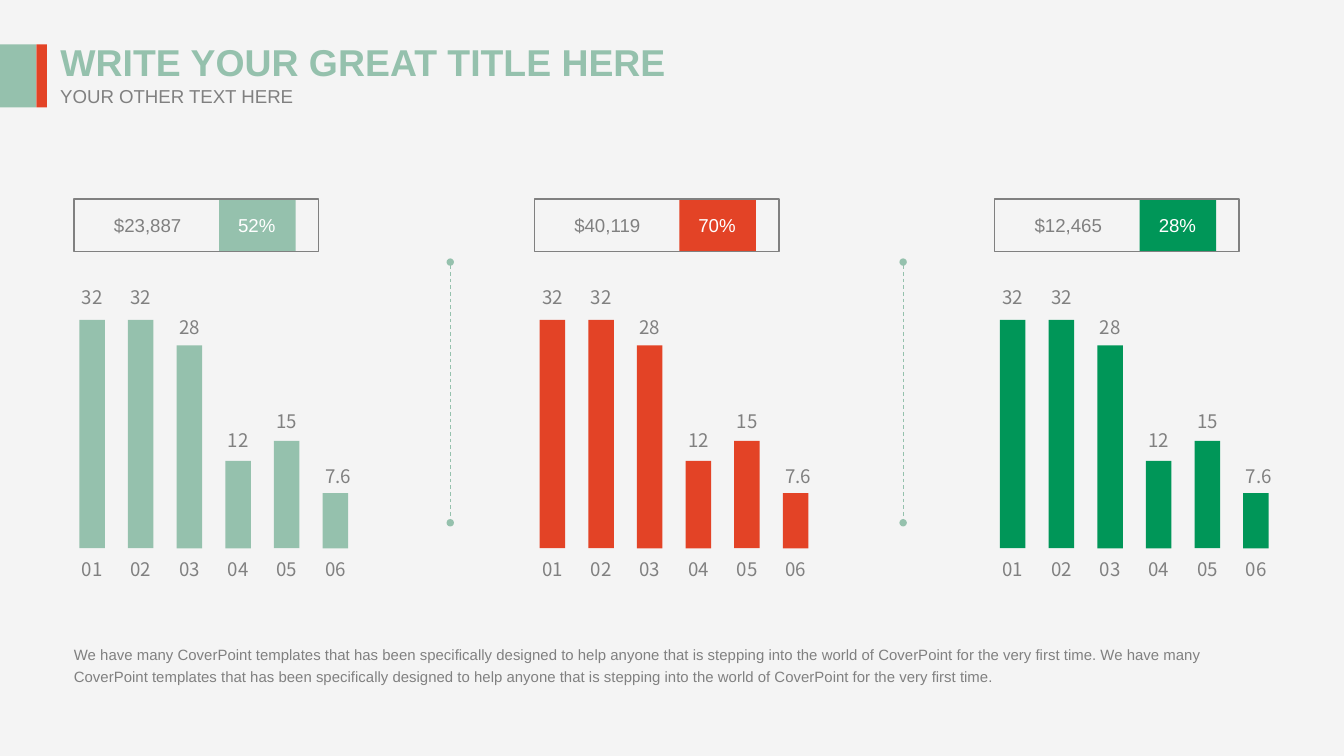
import pptx
import pptx.util
import pptx.dml.color
import pptx.enum.dml
import pptx.enum.shapes
import pptx.enum.text
import pptx.oxml.ns
from lxml import etree

Inches = pptx.util.Inches
Pt = pptx.util.Pt
ALIGN = pptx.enum.text.PP_ALIGN

COLORS = {
    "background": "F4F4F4",
    "mint": "95C1AD",
    "red": "E34326",
    "green": "009658",
    "gray": "808080",
    "white": "FFFFFF",
}
TITLE = "WRITE YOUR GREAT TITLE HERE"
SUBTITLE = "YOUR OTHER TEXT HERE"
SENTENCE = (
    "We have many CoverPoint templates that has been specifically designed to help "
    "anyone that is stepping into the world of CoverPoint for the very first time."
)
FOOTNOTE = f"{SENTENCE} {SENTENCE}"
PANELS = [
    ("$23,887", "52%", "mint"),
    ("$40,119", "70%", "red"),
    ("$12,465", "28%", "green"),
]
BARS = [
    ("01", "32", 1.7, 2.13),
    ("02", "32", 1.7, 2.13),
    ("03", "28", 1.51, 2.35),
    ("04", "12", 0.65, 3.19),
    ("05", "15", 0.8, 3.05),
    ("06", "7.6", 0.41, 3.46),
]
ACCENTS = [(0.27, 0.08, "red"), (0, 0.27, "mint")]
DIVIDERS = [3.35, 6.72]
BODY_FONT = "Arial"
BAR_FONT = "Noto Sans CJK SC"
PANEL_LEFT = 0.55
PANEL_STEP = (7.4 - PANEL_LEFT) / (len(PANELS) - 1)
BASELINE = 4.08
BAR_STEP = 1.81 / (len(BARS) - 1)
BAR_WIDTH = 0.19
BOX_TOP = 1.48
BOX_HEIGHT = 0.39


def rgb(name):
    """Return the named colour."""
    return pptx.dml.color.RGBColor.from_string(COLORS[name])


def add_rect(s, x, y, w, h, fill=None, line=None):
    """Add a rectangle with an optional fill and outline."""
    sp = s.shapes.add_shape(
        pptx.enum.shapes.MSO_SHAPE.RECTANGLE, Inches(x), Inches(y), Inches(w), Inches(h)
    )
    sp.shadow.inherit = False
    if fill:
        sp.fill.solid()
        sp.fill.fore_color.rgb = rgb(fill)
    else:
        sp.fill.background()
    if line:
        sp.line.color.rgb = rgb(line)
        sp.line.width = Pt(0.75)
    else:
        sp.line.fill.background()


def write(sp, text, size=10, color="gray", font=BODY_FONT, bold=False,
          align=ALIGN.LEFT, wrap=False, inset=True):
    """Fill a text shape with one formatted paragraph."""
    tf = sp.text_frame
    tf.text = text
    tf.word_wrap = wrap
    tf.auto_size = pptx.enum.text.MSO_AUTO_SIZE.SHAPE_TO_FIT_TEXT
    tf.vertical_anchor = pptx.enum.text.MSO_ANCHOR.TOP
    if not inset:
        tf.margin_left = tf.margin_right = tf.margin_top = tf.margin_bottom = 0
    p = tf.paragraphs[0]
    p.alignment = align
    p.font.size = Pt(size)
    p.font.name = font
    p.font.bold = bold
    p.font.color.rgb = rgb(color)
    return p


def add_text(s, x, y, w, h, text, **style):
    """Add a text box."""
    sp = s.shapes.add_textbox(Inches(x), Inches(y), Inches(w), Inches(h))
    return write(sp, text, **style)


def add_divider(s, x):
    """Add a dashed vertical line with round ends."""
    line = s.shapes.add_connector(
        pptx.enum.shapes.MSO_CONNECTOR.STRAIGHT, Inches(x), Inches(1.95), Inches(x), Inches(3.89)
    )
    line.line.color.rgb = rgb("mint")
    line.line.width = Pt(0.5)
    line.line.dash_style = pptx.enum.dml.MSO_LINE.DASH
    ln = line.line._get_or_add_ln()
    for end in ("a:headEnd", "a:tailEnd"):
        etree.SubElement(ln, pptx.oxml.ns.qn(end), type="oval", w="sm", len="sm")
    etree.SubElement(line._element.spPr, pptx.oxml.ns.qn("a:effectLst"))


def add_bars(s, left, color):
    """Add the labelled bars of one panel."""
    for i, (category, value, height, label_top) in enumerate(BARS):
        x = left + 0.04 + i * BAR_STEP
        add_rect(s, x, BASELINE - height, BAR_WIDTH, height, color)
        for text, top in ((category, 4.15), (value, label_top)):
            width = 0.16 if len(text) == 2 else 0.2
            add_text(s, x + 0.02, top, width, 0.17, text, font=BAR_FONT, inset=False)


def add_panel(s, left, amount, share, color):
    """Add one panel with its amount box and bars."""
    add_rect(s, left + 1.08, BOX_TOP, 0.57, BOX_HEIGHT, color)
    add_bars(s, left, color)
    add_text(s, left + 0.2, 1.54, 0.7, 0.27, amount)
    add_text(s, left + 1.12, 1.54, 0.48, 0.27, share, color="white", align=ALIGN.CENTER)
    add_rect(s, left, BOX_TOP, 1.82, BOX_HEIGHT, line="gray")


def main():
    """Build the slide and save it."""
    prs = pptx.Presentation()
    prs.slide_width = Inches(10)
    prs.slide_height = prs.slide_width * 9 // 16
    s = prs.slides.add_slide(prs.slide_layouts[5])
    s.background.fill.solid()
    s.background.fill.fore_color.rgb = rgb("background")

    title = s.shapes.title
    title.left, title.top = Inches(0.35), Inches(0.24)
    title.width, title.height = Inches(4.73), Inches(0.43)
    write(title, TITLE, size=20, color="mint", bold=True)
    add_text(s, 0.35, 0.58, 1.94, 0.27, SUBTITLE)
    for x, width, color in ACCENTS:
        add_rect(s, x, 0.33, width, 0.47, color)

    for i, panel in enumerate(PANELS):
        add_panel(s, PANEL_LEFT + i * PANEL_STEP, *panel)
    for x in DIVIDERS:
        add_divider(s, x)
    p = add_text(s, 0.55, 4.78, 8.9, 0.32, FOOTNOTE, size=8, wrap=True, inset=False)
    p.line_spacing = 1.2
    prs.save("out.pptx")


if __name__ == "__main__":
    main()
